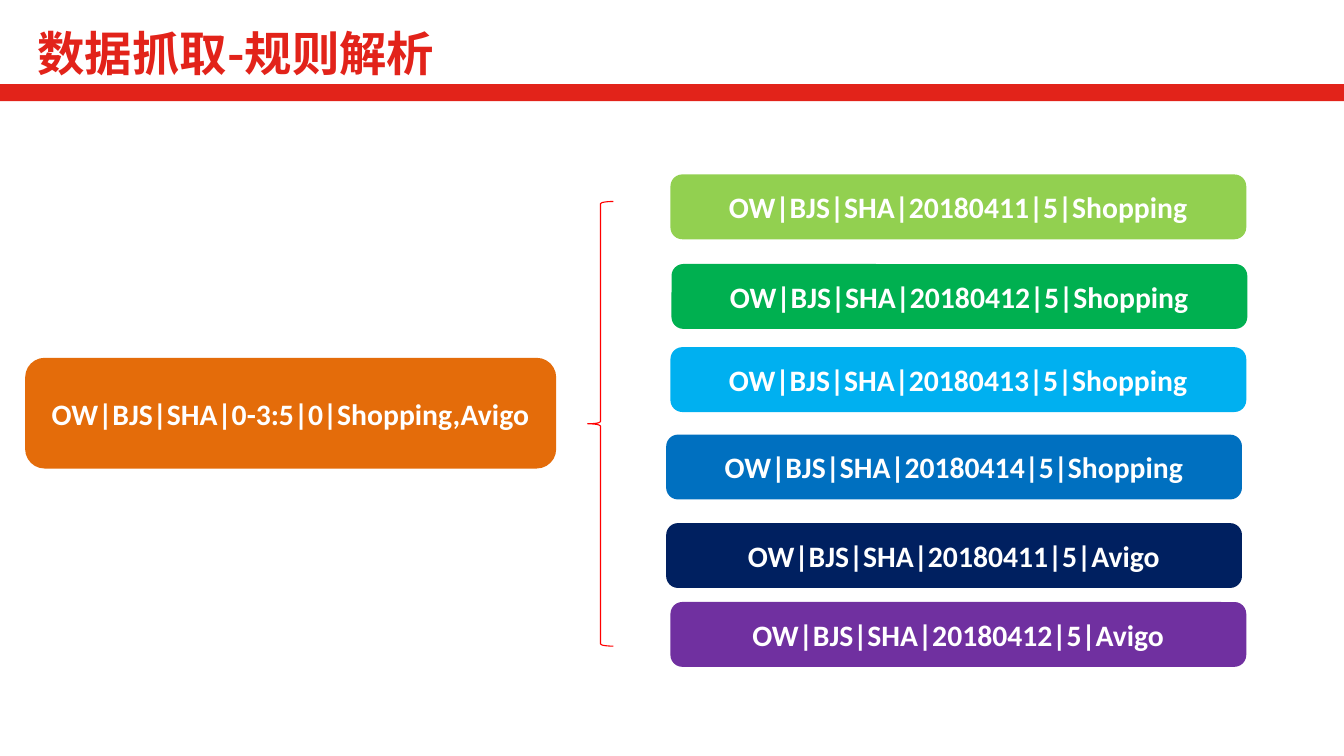
from pptx import Presentation
from pptx.dml.color import RGBColor
from pptx.enum.shapes import MSO_SHAPE as Shape
from pptx.enum.text import MSO_ANCHOR as Anchor, MSO_AUTO_SIZE as AutoSize, PP_ALIGN as Align
from pptx.oxml.ns import qn
from pptx.util import Inches, Pt
from lxml.etree import SubElement

WIDTH, HEIGHT = 12.6, 7.09
COLUMNS = 126
RED = "E2231A"
RULE_SIZE = (53.7, 5.8)
RULES = [
    (63, 16.5, "92D050", "20180411|5|Shopping"),
    (63.1, 24.9, "00B050", "20180412|5|Shopping"),
    (63, 32.7, "00B0F0", "20180413|5|Shopping"),
    (62.6, 40.9, "0070C0", "20180414|5|Shopping"),
    (62.6, 49.2, "002060", "20180411|5|Avigo"),
    (63, 56.6, "7030A0", "20180412|5|Avigo"),
]


def colour(value):
    return RGBColor.from_string(value)


class RuleSlide:
    """Draws styled elements on one slide, placed on a grid of square cells."""

    def __init__(self, presentation):
        self.cell = presentation.slide_width / COLUMNS
        self.slide = presentation.slides.add_slide(presentation.slide_layouts[5])

    def grid(self, *cells):
        return [round(count * self.cell) for count in cells]

    def style_text(self, text_frame, size, font, text_colour, align):
        text_frame.word_wrap = True
        text_frame.vertical_anchor = Anchor.MIDDLE
        paragraph = text_frame.paragraphs[0]
        paragraph.alignment = align
        for run in paragraph.runs:
            run.font.size = Pt(size)
            run.font.name = font
            run.font.bold = True
            run.font.color.rgb = colour(text_colour)
            SubElement(run._r.get_or_add_rPr(), qn("a:ea"), typeface=font)

    def title(self, text, *cells):
        title = self.slide.shapes.title
        title.left, title.top, title.width, title.height = self.grid(*cells)
        title.text_frame.text = text
        title.text_frame.auto_size = AutoSize.NONE
        self.style_text(title.text_frame, 32, "Noto Sans CJK SC", RED, Align.LEFT)

    def shape(self, kind, *cells, fill=None, line=None, line_width=2):
        shape = self.slide.shapes.add_shape(kind, *self.grid(*cells))
        shape.shadow.inherit = False
        if fill:
            shape.fill.solid()
            shape.fill.fore_color.rgb = colour(fill)
        else:
            shape.fill.background()
        if line:
            shape.line.color.rgb = colour(line)
            shape.line.width = Pt(line_width)
        else:
            shape.line.fill.background()
        return shape

    def box(self, text, box_colour, *cells):
        box = self.shape(Shape.ROUNDED_RECTANGLE, *cells, fill=box_colour, line=box_colour)
        box.text_frame.text = text
        self.style_text(box.text_frame, 20, "Calibri", "FFFFFF", Align.CENTER)


def main():
    presentation = Presentation()
    presentation.slide_width = Inches(WIDTH)
    presentation.slide_height = Inches(HEIGHT)

    page = RuleSlide(presentation)
    page.shape(Shape.RECTANGLE, 0, 7.9, COLUMNS, 1.6, fill=RED)
    page.title("数据抓取-规则解析", 2.5, 1.4, 66.9, 7.1)
    page.box("OW|BJS|SHA|0-3:5|0|Shopping,Avigo", "E46C0A", 2.5, 33.7, 49.5, 10.1)
    for left, top, rule_colour, rule in RULES:
        page.box(f"OW|BJS|SHA|{rule}", rule_colour, left, top, *RULE_SIZE)
    page.shape(Shape.LEFT_BRACE, 55.1, 18.9, 2.4, 41.7, line="FF0000", line_width=0.75)

    presentation.save("out.pptx")


if __name__ == "__main__":
    main()
